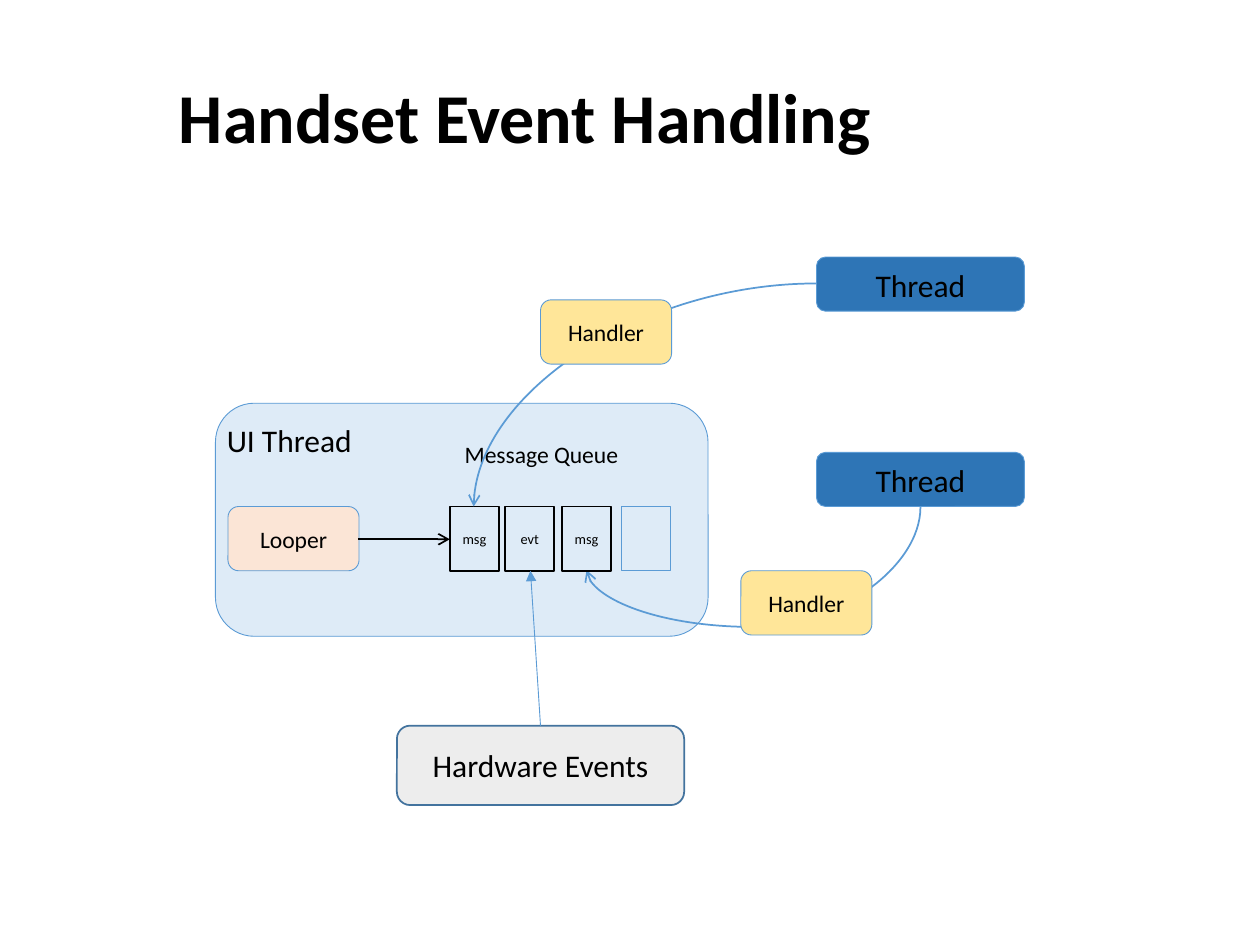
"""Build the event handling slide on a grid of 100 columns by 75 rows."""
from dataclasses import dataclass

from lxml.etree import SubElement
from pptx import Presentation
from pptx.dml.color import RGBColor
from pptx.enum.shapes import MSO_CONNECTOR, MSO_SHAPE
from pptx.enum.text import MSO_ANCHOR, MSO_AUTO_SIZE, PP_ALIGN
from pptx.oxml.ns import qn
from pptx.util import Inches, Pt

COLORS = {
    "ink": "000000", "panel": "DEEBF7", "outline": "5B9BD5", "looper": "FBE5D6",
    "thread": "2E75B6", "handler": "FFE699", "hardware": "EDEDED", "steel": "43739E",
}
COLUMNS, ROWS = 100, 75
FONT = "Calibri"


@dataclass(frozen=True)
class Node:
    text: str
    column: float
    row: float
    columns: float
    rows: float
    fill: str
    line: str = "outline"
    weight: float = 0.5
    size: float = 13.5
    rounded: bool = True
    centered: bool = True
    anchor: MSO_ANCHOR = MSO_ANCHOR.MIDDLE
    side_inset: float = 0.1


@dataclass(frozen=True)
class Link:
    start: tuple[float, float]
    end: tuple[float, float]
    color: str = "outline"
    weight: float = 1
    head: str = "arrow"
    preset: str = "line"
    turn: int = 0
    bend: int = 0


deck = Presentation()
deck.slide_width, deck.slide_height = Inches(10), Inches(7.5)
page = deck.slides.add_slide(deck.slide_layouts[5])


def across(columns: float) -> int:
    return round(deck.slide_width * columns / COLUMNS)


def down(rows: float) -> int:
    return round(deck.slide_height * rows / ROWS)


def color(name: str) -> RGBColor:
    return RGBColor.from_string(COLORS[name])


def write(para, text: str, size: float, bold: bool = False) -> None:
    span = para.add_run()
    span.text = text
    span.font.name, span.font.size, span.font.bold = FONT, Pt(size), bold
    span.font.color.rgb = color("ink")


def draw_node(node: Node) -> None:
    kind = MSO_SHAPE.ROUNDED_RECTANGLE if node.rounded else MSO_SHAPE.RECTANGLE
    box = page.shapes.add_shape(kind, across(node.column), down(node.row),
                                across(node.columns), down(node.rows))
    box.shadow.inherit = False
    box.fill.solid()
    box.fill.fore_color.rgb = color(node.fill)
    if node.line:
        box.line.color.rgb = color(node.line)
        box.line.width = Pt(node.weight)
    else:
        box.line.fill.background()
    frame = box.text_frame
    frame.word_wrap = True
    frame.vertical_anchor = node.anchor
    frame.margin_left = frame.margin_right = Inches(node.side_inset)
    para = frame.paragraphs[0]
    para.alignment = PP_ALIGN.CENTER if node.centered else PP_ALIGN.LEFT
    if node.text:
        write(para, node.text, node.size)


def draw_link(link: Link) -> None:
    kind = MSO_CONNECTOR.STRAIGHT if link.preset == "line" else MSO_CONNECTOR.CURVE
    arrow = page.shapes.add_connector(kind, across(link.start[0]), down(link.start[1]),
                                      across(link.end[0]), down(link.end[1]))
    arrow.line.color.rgb = color(link.color)
    arrow.line.width = Pt(link.weight)
    properties = arrow._element.spPr
    SubElement(properties.find(qn("a:ln")), qn("a:tailEnd"), type=link.head)
    SubElement(properties, qn("a:effectLst"))
    geometry = properties.find(qn("a:prstGeom"))
    geometry.set("prst", link.preset)
    if link.turn:
        properties.find(qn("a:xfrm")).set("rot", str(link.turn * 60000))
    if link.bend:
        SubElement(geometry.find(qn("a:avLst")), qn("a:gd"),
                   name="adj1", fmla=f"val {link.bend}")


def small_box(text: str, column: float, row: float, fill: str) -> Node:
    return Node(text, column, row, 10.4, 5.1, fill)


def slot(text: str, column: float) -> Node:
    line, weight = ("ink", 1) if text else ("outline", 0.5)
    return Node(text, column, 40.2, 3.9, 5.1, "panel", line, weight, 8.2, rounded=False)


def thread(row: float) -> Node:
    return Node("Thread", 64.8, row, 16.5, 4.3, "thread", size=18,
                anchor=MSO_ANCHOR.TOP, side_inset=0)


title = page.shapes.title
title.left, title.top = across(13.2), down(3.9)
title.width, title.height = across(72.3), down(11.3)
title.text_frame.auto_size = MSO_AUTO_SIZE.NONE
title.text_frame.vertical_anchor = MSO_ANCHOR.MIDDLE
heading = title.text_frame.paragraphs[0]
heading.alignment, heading.line_spacing = PP_ALIGN.LEFT, 0.9
write(heading, "Handset Event Handling", 40, bold=True)

ITEMS = [
    Node("UI Thread", 17.1, 32, 39.1, 18.5, "panel", size=18, centered=False,
         anchor=MSO_ANCHOR.TOP, side_inset=0),
    small_box("Looper", 18.1, 40.2, "looper"),
    slot("msg", 35.7),
    slot("evt", 40.1),
    slot("", 49.3),
    Link((28.4, 42.8), (35.7, 42.8), "ink"),
    Node("Message Queue", 35.9, 34.4, 16.3, 3.3, "panel", "", rounded=False,
         centered=False, anchor=MSO_ANCHOR.TOP),
    thread(20.4),
    thread(35.9),
    Link((64.8, 22.5), (37.6, 40.2), preset="curvedConnector2"),
    Link((57.3, 29.5), (62.3, 56), preset="curvedConnector3", turn=90, bend=190200),
    small_box("Handler", 42.9, 23.8, "handler"),
    small_box("Handler", 58.8, 45.3, "handler"),
    slot("msg", 44.6),
    Node("Hardware Events", 31.5, 57.6, 22.8, 6.3, "hardware", "steel", 1, 18),
    Link((42.9, 57.6), (42.1, 45.3), weight=0.5, head="triangle"),
]
for item in ITEMS:
    if isinstance(item, Node):
        draw_node(item)
    else:
        draw_link(item)

deck.save("out.pptx")
